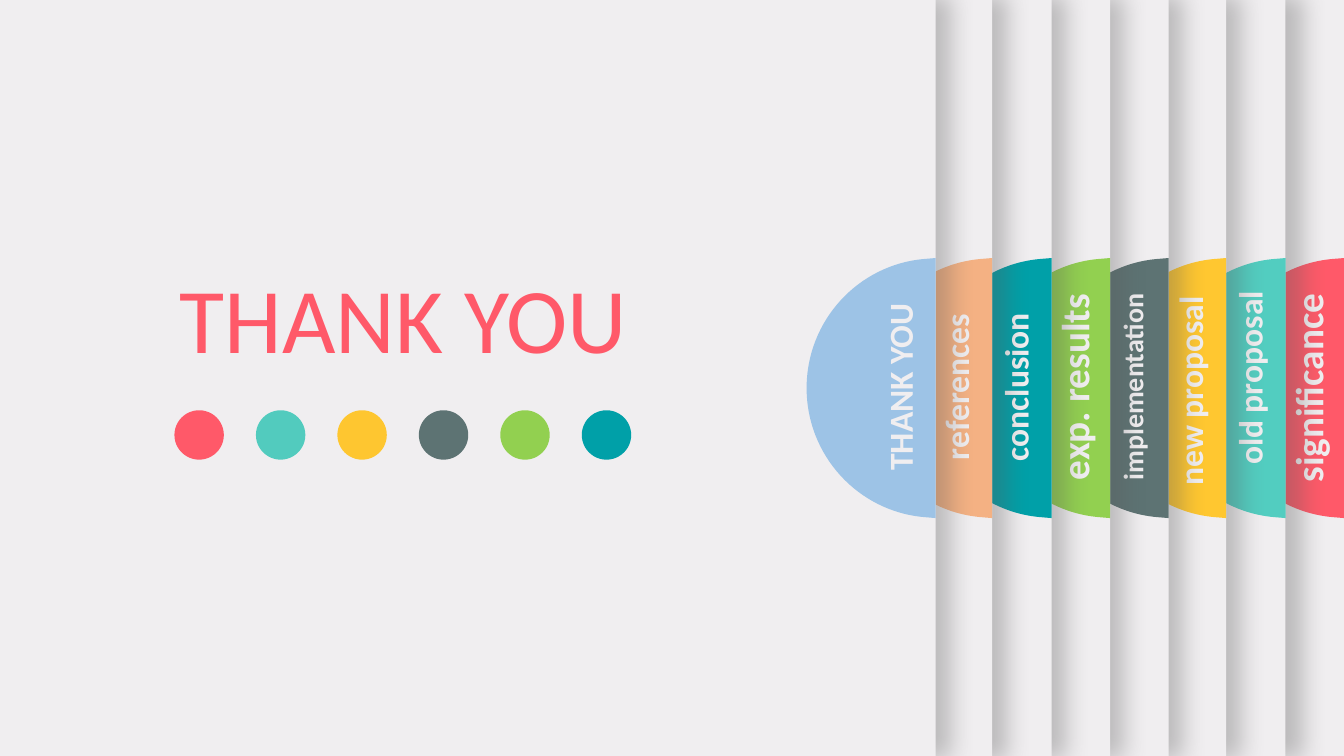
from lxml import etree
from pptx import Presentation
from pptx.dml.color import RGBColor
from pptx.enum.shapes import MSO_SHAPE
from pptx.enum.text import MSO_ANCHOR, MSO_AUTO_SIZE, PP_ALIGN
from pptx.oxml.ns import qn
from pptx.util import Inches, Pt

RECTANGLE, OVAL = MSO_SHAPE.RECTANGLE, MSO_SHAPE.OVAL
CENTER, TOP = PP_ALIGN.CENTER, MSO_ANCHOR.TOP
GROW = MSO_AUTO_SIZE.SHAPE_TO_FIT_TEXT
FONT = "Calibri"

PAPER = RGBColor(0xF0, 0xEE, 0xF0)
RED = RGBColor(0xFF, 0x59, 0x69)
TURQUOISE = RGBColor(0x52, 0xCD, 0xC0)
YELLOW = RGBColor(0xFF, 0xC7, 0x30)
SLATE = RGBColor(0x5D, 0x73, 0x73)
GREEN = RGBColor(0x92, 0xD0, 0x50)
TEAL = RGBColor(0x00, 0xA0, 0xA8)
PEACH = RGBColor(0xF4, 0xB1, 0x83)
SKY = RGBColor(0x9D, 0xC3, 0xE6)
DOT_TURQUOISE = RGBColor(0x52, 0xCB, 0xBE)
DOT_YELLOW = RGBColor(0xFE, 0xC6, 0x30)

SLIDE_WIDTH, SLIDE_HEIGHT = 13.33, 7.5
TAB_MIDDLE = 3.85
LABEL_LENGTH, LABEL_INSET = 2.18, 0.36
DOT_SIZE = 0.49

# Tab outline from the sheet's right edge and the tab's middle:
# the straight side, then two curves of three points each
TAB_LINE = [(0, -1.29), (0, 1.29), (-0.12, 1.28)]
TAB_CURVES = [(-0.77, 1.22), (-1.28, 0.67), (-1.28, 0),
              (-1.28, -0.67), (-0.77, -1.22), (-0.12, -1.28)]

# label, font size, tab colour, sheet left, sheet right, label middle
SHEETS = [
    ("significance", 28, RED, -0.32, 13.33, 3.85),
    ("old proposal", 24, TURQUOISE, 0.23, 12.75, 3.75),
    ("new proposal ", 24, YELLOW, 1.27, 12.16, 3.84),
    ("implementation", 20, SLATE, 1.12, 11.59, 3.84),
    ("exp. results", 28, GREEN, 1.5, 11.01, 3.84),
    ("conclusion", 24, TEAL, -0.42, 10.43, 3.84),
    ("references", 24, PEACH, -1.01, 9.84, 3.84),
    ("THANK YOU", 24, SKY, -1.57, 9.28, 3.84),
]
DOT_COLORS = [RED, DOT_TURQUOISE, DOT_YELLOW, SLATE, GREEN, TEAL]


def paint(shape, color):
    shape.shadow.inherit = False
    shape.fill.solid()
    shape.fill.fore_color.rgb = color
    shape.line.fill.background()


def add_preset(page, kind, box, color):
    shape = page.shapes.add_shape(kind, *map(Inches, box))
    paint(shape, color)
    return shape


def cast_shadow(shape):
    """Give the shape a soft grey shadow to its right."""
    effects = shape._element.spPr.find(qn("a:effectLst"))
    shadow = etree.SubElement(effects, qn("a:outerShdw"), blurRad=str(Pt(17)),
                              dist=str(Pt(3)), dir="0", sx="101000", sy="101000",
                              algn="l", rotWithShape="0")
    color = etree.SubElement(shadow, qn("a:srgbClr"), val="595959")
    etree.SubElement(color, qn("a:alpha"), val="35000")


def write(shape, text, size, color, bold):
    frame = shape.text_frame
    frame.text = text
    frame.word_wrap = True
    frame.auto_size = GROW
    frame.vertical_anchor = TOP
    para = frame.paragraphs[0]
    para.alignment = CENTER
    font = para.runs[0].font
    font.name, font.size, font.bold = FONT, Pt(size), bold
    font.color.rgb = color


def add_half_disc(page, right, color):
    points = [(Inches(right + across), Inches(TAB_MIDDLE + down))
              for across, down in TAB_LINE + TAB_CURVES]
    builder = page.shapes.build_freeform(*points[0])
    builder.add_line_segments(points[1:], close=True)
    disc = builder.convert_to_shape()
    lines = list(disc._element.iter(qn("a:lnTo")))[len(TAB_LINE) - 1:]
    for start in range(0, len(TAB_CURVES), 3):
        curve = etree.Element(qn("a:cubicBezTo"))
        lines[start].addprevious(curve)
        for line in lines[start:start + 3]:
            curve.append(line[0])
            line.getparent().remove(line)
    paint(disc, color)


def add_sheet(page, label, size, color, left, right, label_middle):
    """Add a full-height sheet with a half-round tab and an upward label."""
    sheet = add_preset(page, RECTANGLE, (left, 0, right - left, SLIDE_HEIGHT), PAPER)
    cast_shadow(sheet)
    add_half_disc(page, right, color)
    height = 0.1 + size / 60
    box = page.shapes.add_textbox(Inches(right - LABEL_INSET - LABEL_LENGTH / 2),
                                  Inches(label_middle - height / 2),
                                  Inches(LABEL_LENGTH), Inches(height))
    box.rotation = 270
    write(box, label, size, PAPER, True)


def place_title(page, left, top, width, height):
    title = page.shapes.title
    title.left, title.top = Inches(left), Inches(top)
    title.width, title.height = Inches(width), Inches(height)
    write(title, "THANK YOU", 66, RED, False)
    title.element.getparent().append(title.element)  # in front of the sheets


def add_dots(page, left, top, width):
    pitch = (width - DOT_SIZE) / (len(DOT_COLORS) - 1)
    for column, color in enumerate(DOT_COLORS):
        box = (left + column * pitch, top, DOT_SIZE, DOT_SIZE)
        add_preset(page, OVAL, box, color)


def main():
    deck = Presentation()
    deck.slide_width, deck.slide_height = Inches(SLIDE_WIDTH), Inches(SLIDE_HEIGHT)
    page = deck.slides.add_slide(deck.slide_layouts[5])
    page.background.fill.solid()
    page.background.fill.fore_color.rgb = PAPER
    for sheet in SHEETS:
        add_sheet(page, *sheet)
    place_title(page, 0.02, 2.54, 7.96, 1.21)
    add_dots(page, 1.73, 4.07, 4.53)
    deck.save("out.pptx")


if __name__ == "__main__":
    main()
